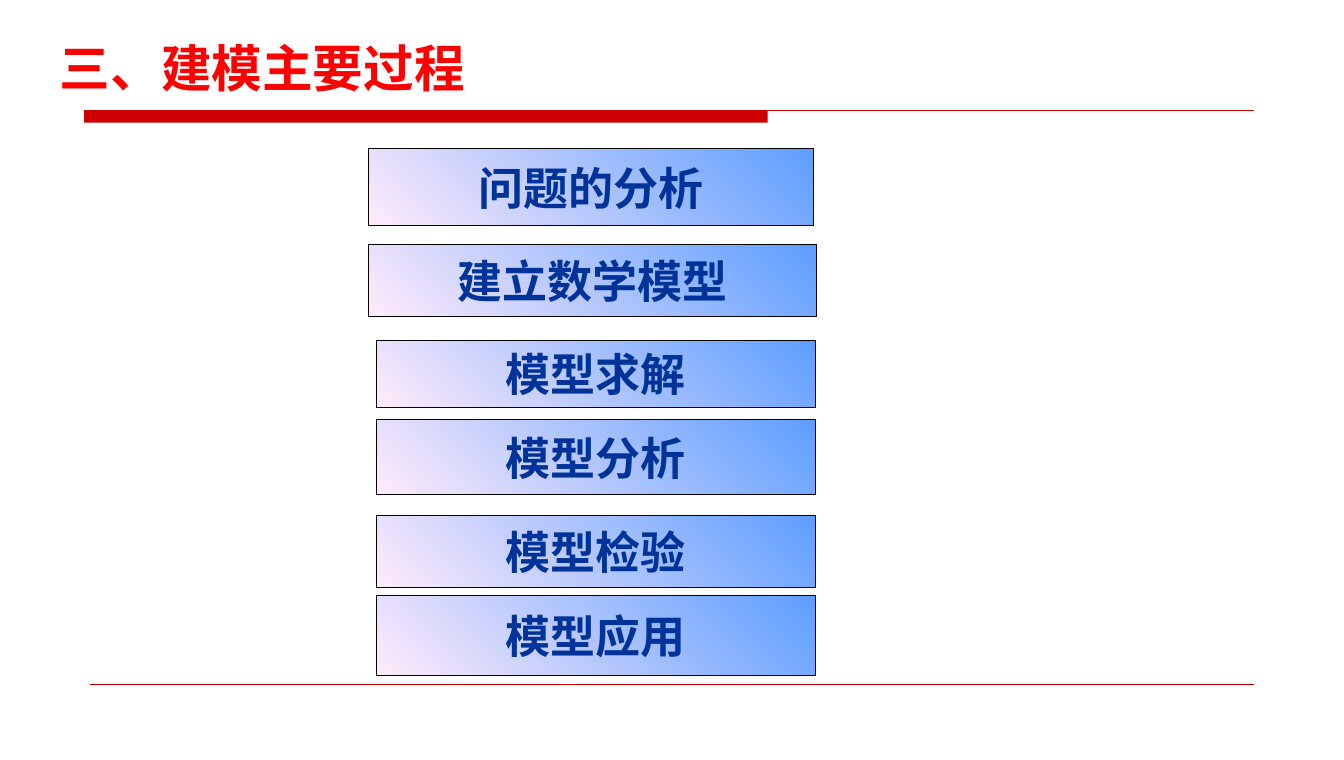
from lxml import etree
from pptx import Presentation
from pptx.dml.color import RGBColor
from pptx.enum import shapes, text
from pptx.oxml.ns import qn
from pptx.util import Inches, Pt

RED, BLACK, NAVY = "CC0000", "000000", "003399"


def rgb(value):
    return RGBColor.from_string(value)


def write(frame, words, size, color, font, align, anchor, wrap):
    frame.word_wrap = wrap
    frame.auto_size = text.MSO_AUTO_SIZE.NONE
    frame.vertical_anchor = anchor
    para = frame.paragraphs[0]
    para.alignment = align
    span = para.add_run()
    span.text = words
    span.font.size = Pt(size)
    span.font.bold = True
    span.font.color.rgb = rgb(color)
    span.font.name = font
    east_asian = etree.SubElement(span.font._element, qn("a:ea"))
    east_asian.set("typeface", "Noto Sans CJK SC")


deck = Presentation()
deck.slide_width, deck.slide_height = Inches(13.27), Inches(7.5)
page = deck.slides.add_slide(deck.slide_layouts[5])

# Red bar under the title
bar = page.shapes.add_shape(shapes.MSO_SHAPE.RECTANGLE, Inches(0.83),
                            Inches(1.09), Inches(6.75), Inches(0.12))
bar.shadow.inherit = False
bar.fill.solid()
bar.fill.fore_color.rgb = rgb(RED)
bar.line.fill.background()

# Thin rules above and below the steps
for left, top, width in [(0.83, 1.09, 0.75), (0.89, 6.75, 0.25)]:
    rule = page.shapes.add_connector(shapes.MSO_CONNECTOR.STRAIGHT, Inches(left),
                                     Inches(top), Inches(12.38), Inches(top))
    rule.line.color.rgb = rgb(RED)
    rule.line.width = Pt(width)
    etree.SubElement(rule._element.spPr, qn("a:effectLst"))

# Title
title = page.shapes.title
title.left, title.top = Inches(0.49), Inches(0.28)
title.width, title.height = Inches(11.28), Inches(0.73)
write(title.text_frame, "三、建模主要过程", size=36, color="FF0000",
      font="Noto Sans CJK SC", align=text.PP_ALIGN.LEFT,
      anchor=text.MSO_ANCHOR.BOTTOM, wrap=True)

# Modelling steps: words, left, top, width, height
steps = [
    ("问题的分析", 3.64, 1.47, 4.39, 0.76),
    ("建立数学模型", 3.64, 2.41, 4.42, 0.71),
    ("模型求解", 3.72, 3.36, 4.33, 0.66),
    ("模型分析", 3.72, 4.14, 4.33, 0.74),
    ("模型检验", 3.72, 5.09, 4.33, 0.71),
    ("模型应用", 3.72, 5.88, 4.33, 0.79),
]
for words, *place in steps:
    box = page.shapes.add_shape(shapes.MSO_SHAPE.RECTANGLE, *map(Inches, place))
    box.shadow.inherit = False
    box.fill.gradient()
    box.fill.gradient_angle = 45
    for stop, color in zip(box.fill.gradient_stops, ["FFEBFA", "5E9EFF"]):
        stop.color.rgb = rgb(color)
    box.line.color.rgb = rgb(BLACK)
    box.line.width = Pt(0.75)
    write(box.text_frame, words, size=32, color=NAVY, font="Times New Roman",
          align=text.PP_ALIGN.CENTER, anchor=text.MSO_ANCHOR.MIDDLE, wrap=False)

deck.save("out.pptx")
